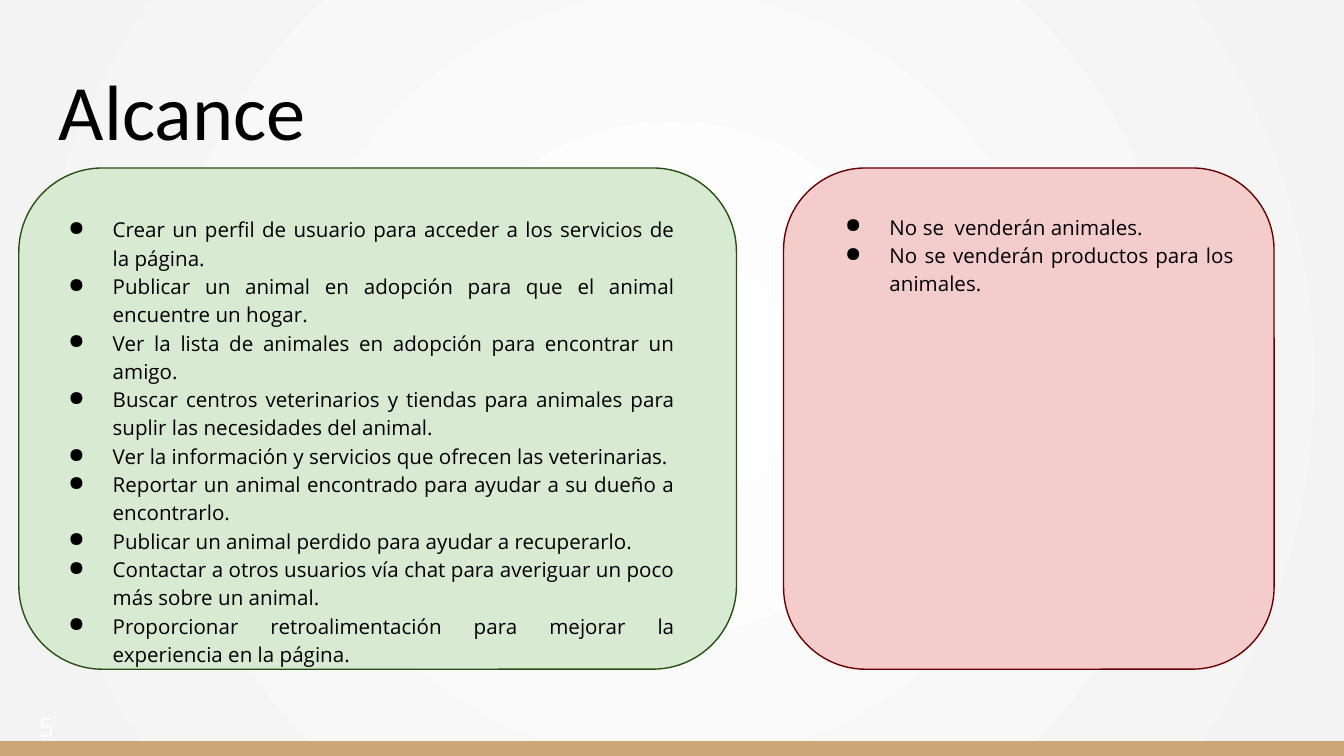
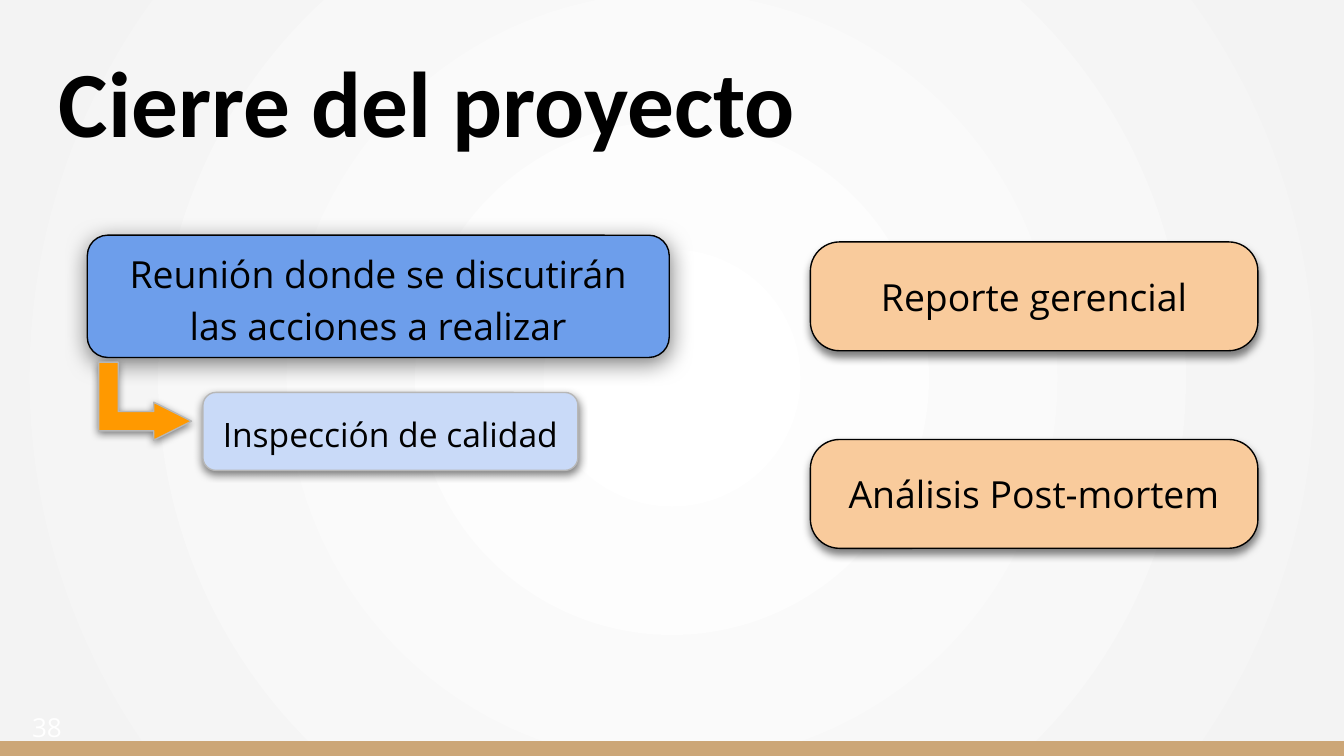
"""Build two slides of a pet adoption project: its scope and its closing."""
from lxml.etree import SubElement
from pptx import Presentation
from pptx.dml.color import RGBColor
from pptx.enum.shapes import MSO_SHAPE as Preset
from pptx.enum.text import MSO_ANCHOR as Anchor, PP_ALIGN as Align
from pptx.oxml.ns import qn
from pptx.util import Inches, Pt

BLACK = RGBColor(0x00, 0x00, 0x00)
WHITE = RGBColor(0xFF, 0xFF, 0xFF)
MIST = RGBColor(0xF3, 0xF3, 0xF3)
TAN = RGBColor(0xCC, 0xA6, 0x77)
GRAY = RGBColor(0xB7, 0xB7, 0xB7)
LIGHT_GREEN = RGBColor(0xD9, 0xEA, 0xD3)
DARK_GREEN = RGBColor(0x27, 0x4E, 0x13)
LIGHT_RED = RGBColor(0xF4, 0xCC, 0xCC)
DARK_RED = RGBColor(0x66, 0x00, 0x00)
PEACH = RGBColor(0xF9, 0xCB, 0x9C)
BLUE = RGBColor(0x6D, 0x9E, 0xEB)
PALE_BLUE = RGBColor(0xC9, 0xDA, 0xF8)
ORANGE = RGBColor(0xFF, 0x99, 0x00)

deck = Presentation()
deck.slide_width, deck.slide_height = Inches(10), Inches(5.625)
COLUMN = deck.slide_width / 100
ROW = deck.slide_height / 45


def add_box(page, place, preset=None, fill=None, line=None, corners=(), shadow=None):
    """Add a text box or a preset shape at (column, row, columns, rows)."""
    frame = [round(share * unit) for share, unit in zip(place, (COLUMN, ROW) * 2)]
    if preset is None:
        return page.shapes.add_textbox(*frame)
    box = page.shapes.add_shape(preset, *frame)
    for index, value in enumerate(corners):
        box.adjustments[index] = value
    box.fill.solid()
    box.fill.fore_color.rgb = fill
    if line is None:
        box.line.fill.background()
    else:
        box.line.color.rgb = line
        box.line.width = Pt(0.75)
    box.shadow.inherit = False
    if shadow:
        blur, distance = shadow
        effects = box._element.spPr.find(qn("a:effectLst"))
        outer = SubElement(effects, qn("a:outerShdw"), blurRad=str(Pt(blur)),
                           dist=str(Pt(distance)), dir="5400000", algn="bl", rotWithShape="0")
        color = SubElement(outer, qn("a:srgbClr"), val=str(BLACK))
        SubElement(color, qn("a:alpha"), val="50000")
    return box


def write(box, *texts, size, font="Open Sans", color=BLACK, bold=False, align=Align.LEFT,
          anchor=Anchor.TOP, spacing=None, bullets=False):
    """Write one paragraph for each text, all in the same format."""
    frame = box.text_frame
    frame.word_wrap = True
    frame.vertical_anchor = anchor
    frame.margin_left = frame.margin_right = frame.margin_top = frame.margin_bottom = Inches(0.1)
    for index, text in enumerate(texts):
        para = frame.add_paragraph() if index else frame.paragraphs[0]
        para.alignment = align
        para.line_spacing = spacing
        if bullets:
            props = para._p.get_or_add_pPr()
            props.set("marL", str(Inches(0.5)))
            props.set("indent", str(Inches(-0.33)))
            SubElement(SubElement(props, qn("a:buClr")), qn("a:srgbClr"), val=str(BLACK))
            SubElement(props, qn("a:buChar"), char="●")
        span = para.add_run()
        span.text = text
        span.font.name, span.font.size = font, Pt(size)
        span.font.bold, span.font.color.rgb = bold, color


pages = []
for title, title_size, bold in (("Alcance", 42, False), ("Cierre del proyecto", 50, True)):
    page = deck.slides.add_slide(deck.slide_layouts[6])
    background = page.background.fill
    background.gradient()
    for stop, color in zip(background.gradient_stops, (WHITE, MIST)):
        stop.color.rgb = color
    gradient = next(page._element.iter(qn("a:gradFill")))
    gradient.remove(gradient.find(qn("a:lin")))
    center = dict.fromkeys("ltrb", "50000")
    SubElement(SubElement(gradient, qn("a:path"), path="circle"), qn("a:fillToRect"), **center)
    add_box(page, (0, 44.12, 100, 0.88), Preset.RECTANGLE, TAN)
    write(add_box(page, (3.4, 2.8, 93.2, 7.28)), title, size=title_size, font="Calibri",
          bold=bold, anchor=Anchor.BOTTOM)
    pages.append(page)
scope, closing = pages

included = (
    "Crear un perfil de usuario para acceder a los servicios de la página.",
    "Publicar un animal en adopción para que el animal encuentre un hogar.",
    "Ver la lista de animales en adopción para encontrar un amigo.",
    "Buscar centros veterinarios y tiendas para animales para suplir las necesidades del animal.",
    "Ver la información y servicios que ofrecen las veterinarias.",
    "Reportar un animal encontrado para ayudar a su dueño a encontrarlo.",
    "Publicar un animal perdido para ayudar a recuperarlo.",
    "Contactar a otros usuarios vía chat para averiguar un poco más sobre un animal.",
    "Proporcionar retroalimentación para mejorar la experiencia en la página.",
)
excluded = ("No se  venderán animales.", "No se venderán productos para los animales.")
panels = (
    (1.4, 53.4, LIGHT_GREEN, DARK_GREEN, (2.4, 11.92, 48.8, 28), included),
    (58.3, 36.5, LIGHT_RED, DARK_RED, (60.2, 11.76, 32.6, 28.32), excluded),
)
for left, width, fill, line, list_place, items in panels:
    add_box(scope, (left, 10, width, 29.84), Preset.ROUNDED_RECTANGLE, fill, line, (0.167,))
    write(add_box(scope, list_place), *items, size=11, align=Align.JUSTIFY, spacing=1.15,
          bullets=True)

cards = (
    ("Reporte gerencial", (60.3, 14.4, 33.3, 6.48), PEACH, BLACK, 0.268, (4.5, 3), 20, None),
    ("Análisis Post-mortem", (60.3, 26.16, 33.3, 6.48), PEACH, BLACK, 0.268, (4.5, 3), 20, None),
    ("Reunión donde se discutirán las acciones a realizar", (6.5, 14, 43.3, 7.28),
     BLUE, BLACK, 0.167, (12.4, 3), 20, 1.15),
    ("Inspección de calidad", (15.1, 23.36, 27.9, 4.64),
     PALE_BLUE, GRAY, 0.167, (4.5, 1.5), 18, 1.15),
)
for text, place, fill, line, corner, shadow, size, spacing in cards:
    card = add_box(closing, place, Preset.ROUNDED_RECTANGLE, fill, line, (corner,), shadow)
    write(card, text, size=size, align=Align.CENTER, anchor=Anchor.MIDDLE, spacing=spacing)
arrow = add_box(closing, (7.9, 21.12, 5.8, 5.52), Preset.BENT_UP_ARROW, ORANGE, GRAY,
                (0.249, 0.243, 0.486), (4.5, 1.5))
arrow.rotation = 90

numbers = (
    (scope, "5", 1.9, 59.8, Align.LEFT),
    (closing, "38", 0, 7, Align.CENTER),
)
for page, number, left, width, align in numbers:
    write(add_box(page, (left, 41.52, width, 5.6)), number, size=14, color=WHITE, align=align)

deck.save("out.pptx")
